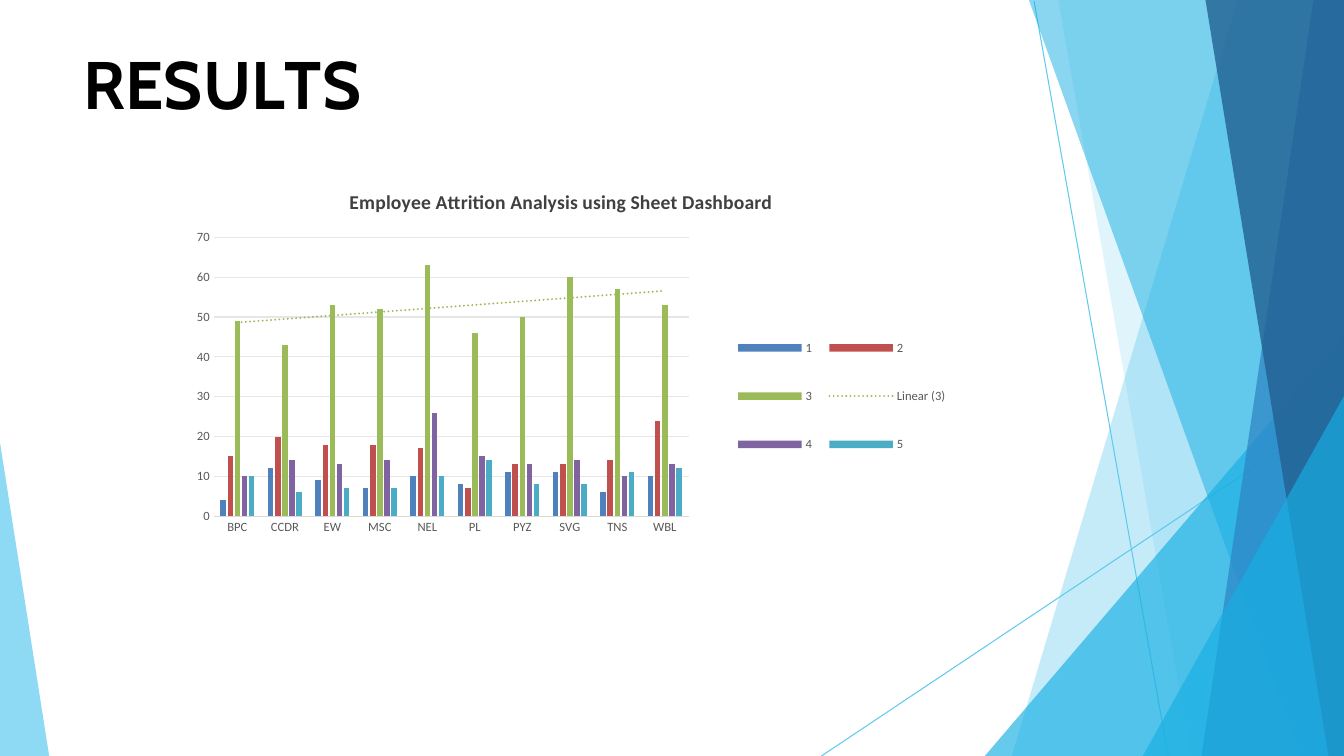
from lxml.etree import SubElement, fromstring
from pptx import Presentation
from pptx.chart.data import CategoryChartData as Data
from pptx.dml.color import RGBColor
from pptx.enum.chart import XL_CHART_TYPE as Kind, XL_LEGEND_POSITION as Spot, XL_TICK_MARK as Tick
from pptx.enum.shapes import MSO_CONNECTOR as Link
from pptx.enum.text import MSO_ANCHOR as Anchor, MSO_AUTO_SIZE as Fit, PP_ALIGN as Align
from pptx.oxml.ns import nsdecls, qn
from pptx.util import Cm, Pt

WIDE, HIGH = 33.87, 19.05
BLACK = RGBColor(0, 0, 0)
DARK = RGBColor(0x40, 0x40, 0x40)
GRAY = RGBColor(0x59, 0x59, 0x59)
EDGE = RGBColor(0xD9, 0xD9, 0xD9)
GRID = RGBColor(0xE6, 0xE6, 0xE6)
SKY = RGBColor(0x5F, 0xCA, 0xEE)
CYAN = RGBColor(0x17, 0xAF, 0xE3)
BLUE = RGBColor(0x2D, 0x83, 0xC3)
NAVY = RGBColor(0x22, 0x61, 0x92)
GREEN = RGBColor(0x9B, 0xBB, 0x59)
HUES = [RGBColor(0x4F, 0x81, 0xBD), RGBColor(0xC0, 0x50, 0x4D), GREEN,
        RGBColor(0x80, 0x64, 0xA2), RGBColor(0x4B, 0xAC, 0xC6)]

RAYS = [(26.06, 0.03, 29.44, HIGH), (WIDE, 10.26, 20.7, HIGH)]
SHARDS = [
    (31.19, 0, 25.5, SKY, 36),
    (26.67, 0, 30.02, SKY, 20),
    (WIDE, 8.46, 24.82, CYAN, 66),
    (25.93, 0, 32.79, CYAN, 50),
    (33.1, 0, 30.28, BLUE, 70),
    (30.38, 0, 33.48, NAVY, 80),
    (WIDE, 9.98, 28.8, CYAN, 66),
]
HEAD = [("R", 0), ("E", -0.4), ("S", 0.1), ("U", -0.3), ("L", -4), ("TS", 0)]
CATS = ["BPC", "CCDR", "EW", "MSC", "NEL", "PL", "PYZ", "SVG", "TNS", "WBL"]
ROWS = {
    "1": (4, 12, 9, 7, 10, 8, 11, 11, 6, 10),
    "2": (15, 20, 18, 18, 17, 7, 13, 13, 14, 24),
    "3": (49, 43, 53, 52, 63, 46, 50, 60, 57, 53),
    "4": (10, 14, 13, 14, 26, 15, 13, 14, 10, 13),
    "5": (10, 6, 7, 7, 10, 14, 8, 8, 11, 12),
}


class Deck:
    serif, sans = "Cabin", "Calibri"

    def __init__(self):
        self.show = Presentation()
        self.show.slide_width, self.show.slide_height = Cm(WIDE), Cm(HIGH)
        self.slide = self.show.slides.add_slide(self.show.slide_layouts[5])
        self.shapes = self.slide.shapes

    def ray(self, *ends):
        line = self.shapes.add_connector(Link.STRAIGHT, *map(Cm, ends))
        line.line.color.rgb = SKY
        line.line.width = Pt(0.75)
        SubElement(line._element.spPr, qn("a:effectLst"))

    def shard(self, dots, hue, alpha):
        dots = [(Cm(x), Cm(y)) for x, y in dots]
        pen = self.shapes.build_freeform(*dots[0])
        pen.add_line_segments(dots[1:], close=True)
        shape = pen.convert_to_shape()
        shape.shadow.inherit = False
        shape.fill.solid()
        shape.fill.fore_color.rgb = hue
        shape.line.fill.background()
        tint = shape._element.spPr.find(".//" + qn("a:srgbClr"))
        SubElement(tint, qn("a:alpha")).set("val", str(alpha * 1000))

    def title(self, parts):
        box = self.shapes.title
        box.left, box.top, box.width, box.height = map(Cm, (2.11, 1.07, 29.67, 2.06))
        self.shapes._spTree.append(box._element)
        frame = box.text_frame
        frame.margin_left = frame.margin_right = frame.margin_top = frame.margin_bottom = 0
        frame.vertical_anchor = Anchor.TOP
        frame.auto_size = Fit.SHAPE_TO_FIT_TEXT
        para = frame.paragraphs[0]
        para.alignment = Align.LEFT
        for text, gap in parts:
            run = para.add_run()
            run.text = text
            self.style(run.font, 48, BLACK, self.serif, True)
            run.font._element.set("spc", str(round(gap * 100)))

    def style(self, font, size, hue, face, bold=False):
        font.size, font.name, font.bold = Pt(size), face, bold
        font.color.rgb = hue

    def place(self, part, index, target="", **box):
        old = part.find(qn("c:layout"))
        if old is not None:
            part.remove(old)
        inner = f'<c:layoutTarget val="{target}"/>' if target else ""
        inner += "".join(f'<c:{key}Mode val="edge"/>' for key in "xy")
        inner += "".join(f'<c:{key} val="{val}"/>' for key, val in box.items())
        part.insert(index, fromstring(
            f'<c:layout {nsdecls("c")}><c:manualLayout>{inner}</c:manualLayout></c:layout>'))

    def trend(self, row, hue):
        row._element.find(qn("c:cat")).addprevious(fromstring(
            f'<c:trendline {nsdecls("c", "a")}><c:spPr><a:ln w="19050" cap="rnd">'
            f'<a:solidFill><a:srgbClr val="{hue}"/></a:solidFill><a:prstDash val="sysDot"/>'
            '</a:ln></c:spPr><c:trendlineType val="linear"/><c:dispRSqr val="0"/>'
            '<c:dispEq val="0"/></c:trendline>'))

    def chart(self, name, cats, rows):
        data = Data()
        data.categories = cats
        for key, vals in rows.items():
            data.add_series(key, vals)
        chart = self.shapes.add_chart(
            Kind.COLUMN_CLUSTERED, *map(Cm, (4.45, 3.12, 20.32, 12.83)), data).chart
        self.style(chart.font, 10, BLACK, self.sans)
        chart.has_title = True
        chart.chart_title.include_in_layout = False
        frame = chart.chart_title.text_frame
        frame.text = name
        self.style(frame.paragraphs[0].runs[0].font, 14, DARK, self.sans, True)
        self.place(chart.chart_title._element, 1, x=0.21, y=0.12)
        plot = chart.plots[0]
        plot.gap_width, plot.overlap, plot.vary_by_categories = 246, -28, False
        for row, hue in zip(plot.series, HUES):
            row.format.fill.solid()
            row.format.fill.fore_color.rgb = hue
            row.invert_if_negative = False
        self.trend(plot.series[2], GREEN)
        self.place(chart._chartSpace.chart.plotArea, 0, "inner",
                   x=0.046, y=0.223, w=0.589, h=0.548)
        for axis in (chart.category_axis, chart.value_axis):
            axis.major_tick_mark = axis.minor_tick_mark = Tick.NONE
            self.style(axis.tick_labels.font, 9, GRAY, self.sans)
        base = chart.category_axis.format.line
        base.color.rgb, base.width = EDGE, Pt(0.75)
        side = chart.value_axis
        side.minimum_scale, side.maximum_scale, side.major_unit = 0, 70, 10
        side.format.line.fill.background()
        grid = side.major_gridlines.format.line
        grid.color.rgb, grid.width = GRID, Pt(0.75)
        chart.has_legend = True
        key = chart.legend
        key.position, key.include_in_layout = Spot.RIGHT, False
        self.style(key.font, 9, GRAY, self.sans)
        self.place(key._element, 1, x=0.68, y=0.36, w=0.29, h=0.35)


def main():
    deck = Deck()
    for ends in RAYS:
        deck.ray(*ends)
    for left, top, foot, hue, alpha in SHARDS:
        deck.shard([(left, top), (foot, HIGH), (WIDE, HIGH), (WIDE, top)], hue, alpha)
    deck.shard([(0, 11.15), (0, HIGH), (1.24, HIGH)], SKY, 70)
    deck.title(HEAD)
    deck.chart("Employee Attrition Analysis using Sheet Dashboard", CATS, ROWS)
    deck.show.save("out.pptx")


if __name__ == "__main__":
    main()
